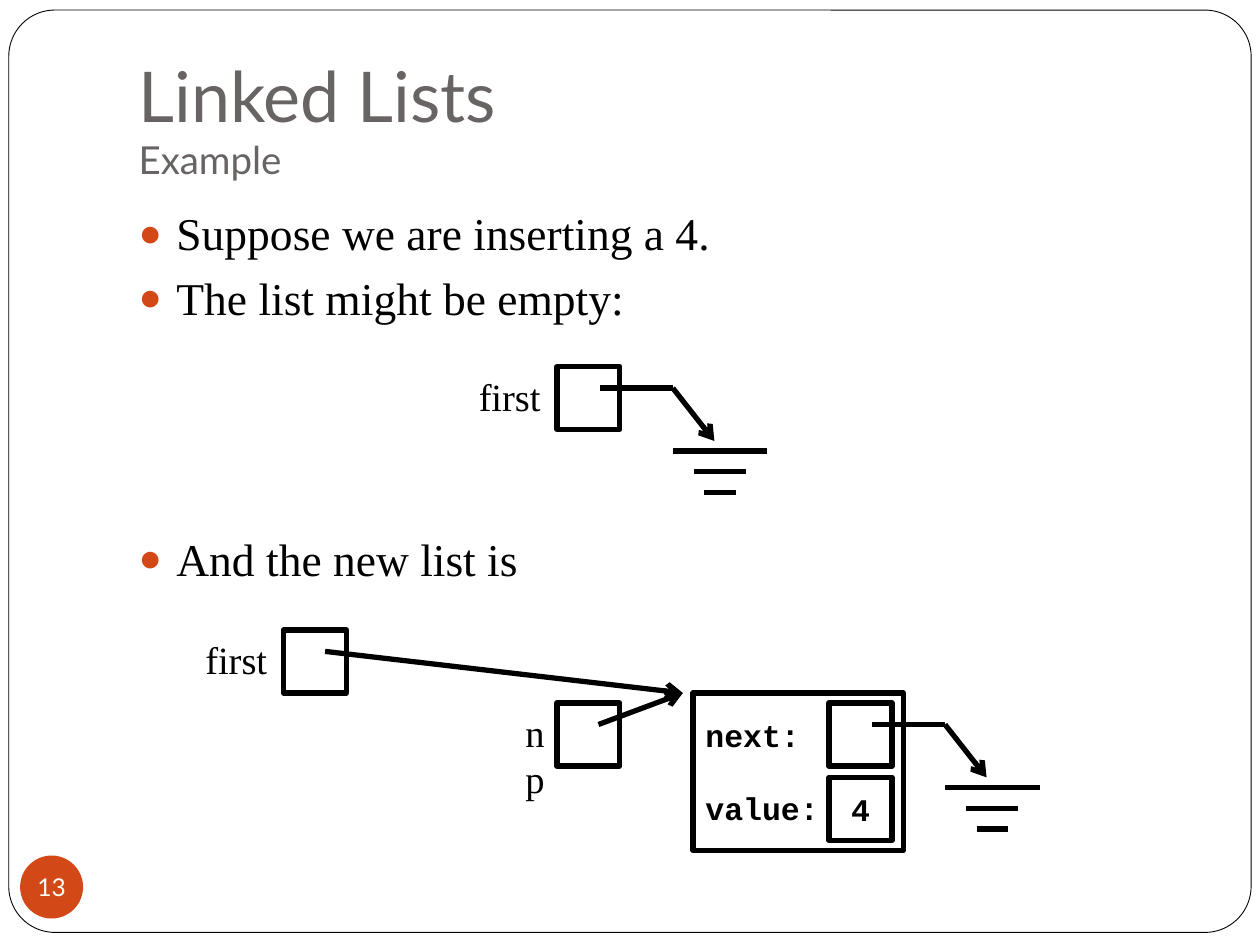
from dataclasses import dataclass

from lxml import etree
from pptx import Presentation, util as u
from pptx.dml.color import RGBColor
from pptx.enum import shapes, text
from pptx.oxml import ns


@dataclass(frozen=True)
class Theme:
    ink = RGBColor.from_string("000000")
    paper = RGBColor.from_string("FFFFFF")
    title = RGBColor.from_string("696464")
    accent = RGBColor.from_string("D34817")
    heading_font = "Lato"
    body_font = "Times New Roman"
    code_font = "Courier New"
    title_size = 40
    subtitle_size = 22
    body_size = 26
    label_size = 22
    code_size = 18
    number_size = 14
    stroke = 3


THEME = Theme()
SHAPE = shapes.MSO_SHAPE
ALIGN = text.PP_ALIGN
ANCHOR = text.MSO_ANCHOR
CELL = 0.5


def inches(*lengths):
    return [u.Inches(length) for length in lengths]


def add_child(parent, tag, **attributes):
    return etree.SubElement(parent, ns.qn(tag), attributes)


def style_runs(para, name, size, color, bold=False):
    for span in para.runs:
        span.font.name, span.font.size = name, u.Pt(size)
        span.font.color.rgb, span.font.bold = color, bold


def add_outline(page, kind, box, fill=None, line=THEME.ink, width=THEME.stroke):
    shape = page.shapes.add_shape(kind, *inches(*box))
    shape.shadow.inherit = False
    if fill is None:
        shape.fill.background()
    else:
        shape.fill.solid()
        shape.fill.fore_color.rgb = fill
    if line is None:
        shape.line.fill.background()
    else:
        shape.line.color.rgb, shape.line.width = line, u.Pt(width)
    return shape


def add_line(page, start, end, arrow=False):
    line = page.shapes.add_connector(
        shapes.MSO_CONNECTOR.STRAIGHT, *inches(*start, *end))
    line.line.color.rgb, line.line.width = THEME.ink, u.Pt(THEME.stroke)
    if arrow:
        add_child(line.line._get_or_add_ln(), "a:tailEnd", type="arrow")
    add_child(line._element.spPr, "a:effectLst")


def add_label(page, words, box, align):
    label = page.shapes.add_textbox(*inches(*box))
    frame = label.text_frame
    frame.word_wrap = True
    frame.text = words
    para = frame.paragraphs[0]
    para.alignment = align
    style_runs(para, THEME.body_font, THEME.label_size, THEME.ink)


def add_code(shape, words, align):
    frame = shape.text_frame
    frame.text = words
    frame.vertical_anchor = ANCHOR.MIDDLE
    for para in frame.paragraphs:
        para.alignment = align
        style_runs(para, THEME.code_font, THEME.code_size, THEME.ink, True)
    return frame


def add_cell(page, left, top):
    return add_outline(page, SHAPE.RECTANGLE, (left, top, CELL, CELL))


def add_named_cell(page, words, left, top, label_width, align=ALIGN.CENTER):
    add_cell(page, left, top)
    add_label(page, words, (left - label_width, top, label_width, 0.47), align)


def add_null_pointer(page, left, top):
    """Bent arrow from a cell to a ground symbol."""
    bend = (left + 0.92, top + 0.17)
    add_line(page, (left + 0.34, top + 0.17), bend)
    add_line(page, bend, (left + 1.25, top + 0.59), arrow=True)
    for row, width in enumerate((0.75, 0.41, 0.25)):
        height = top + 0.67 + row * 0.165
        middle = left + 1.295
        add_line(page, (middle - width / 2, height), (middle + width / 2, height))


def add_frame(page, box):
    frame = add_outline(page, SHAPE.ROUNDED_RECTANGLE, box, THEME.paper, width=0.5)
    frame.adjustments[0] = 0.05
    page.shapes._spTree.insert(2, frame._element)  # behind the placeholders


def add_title(page, box):
    title = page.shapes.title
    title.left, title.top, title.width, title.height = inches(*box)
    frame = title.text_frame
    frame.text = "Linked Lists\vExample"
    frame.auto_size = text.MSO_AUTO_SIZE.NONE
    frame.vertical_anchor = ANCHOR.BOTTOM
    frame.margin_bottom = u.Inches(0.1)
    para = frame.paragraphs[0]
    para.alignment = ALIGN.LEFT
    style_runs(para, THEME.heading_font, THEME.title_size, THEME.title)
    para.runs[1].font.size = u.Pt(THEME.subtitle_size)


def add_bullets(page, box):
    body = page.placeholders[1]
    body.left, body.top, body.width, body.height = inches(*box)
    frame = body.text_frame
    items = (("Suppose we are inserting a 4.", 0),
             ("The list might be empty:", 5.8),
             ("And the new list is", 118))  # leaves room for the first diagram
    frame.text = "\n".join(words for words, _ in items)
    frame.auto_size = text.MSO_AUTO_SIZE.NONE
    for para, (_, gap) in zip(frame.paragraphs, items):
        para.space_before = u.Pt(gap)
        props = para._p.get_or_add_pPr()
        props.set("marL", str(u.Inches(0.3)))
        props.set("indent", str(u.Inches(-0.3)))
        color = add_child(props, "a:buClr")
        add_child(color, "a:srgbClr", val=str(THEME.accent))
        add_child(props, "a:buSzPct", val="85000")
        add_child(props, "a:buChar", char="●")
        style_runs(para, THEME.body_font, THEME.body_size, THEME.ink)


def add_page_number(page, box):
    badge = add_outline(page, SHAPE.OVAL, box, THEME.accent, None)
    frame = badge.text_frame
    frame.margin_left = frame.margin_right = frame.margin_top = frame.margin_bottom = 0
    frame.word_wrap = False
    frame.vertical_anchor = ANCHOR.MIDDLE
    frame.text = "13"
    para = frame.paragraphs[0]
    para.alignment = ALIGN.CENTER
    style_runs(para, THEME.heading_font, THEME.number_size, THEME.paper)


def add_empty_list(page, left, top):
    add_named_cell(page, "first", left + 0.75, top, 0.75)
    add_null_pointer(page, left + 0.75, top)


def add_new_list(page, left, top):
    # Pointer variables
    add_named_cell(page, "first", left + 0.75, top, 0.75)
    add_named_cell(page, "np", left + 2.92, top + 0.58, 0.5, ALIGN.RIGHT)

    # Node with its two fields
    node = add_outline(page, SHAPE.RECTANGLE, (left + 4, top + 0.5, 1.67, 1.25))
    fields = add_code(node, "next:\nvalue:", ALIGN.LEFT)
    fields.paragraphs[1].space_before = u.Pt(20)
    field_left, next_top = left + 5.08, top + 0.58
    add_cell(page, field_left, next_top)
    add_code(add_cell(page, field_left, top + 1.17), "4", ALIGN.CENTER)

    # Arrows
    add_null_pointer(page, field_left, next_top)
    target = (left + 3.92, top + 0.5)
    for start in ((left + 1.08, top + 0.17), (left + 3.25, top + 0.75)):
        add_line(page, start, target, arrow=True)


def main():
    deck = Presentation()
    deck.slide_width, deck.slide_height = inches(10, 7.5)
    page = deck.slides.add_slide(deck.slide_layouts[1])
    add_frame(page, (0.07, 0.08, 9.86, 7.32))
    add_title(page, (1, 0.3, 8.5, 1.25))
    add_page_number(page, (0.16, 6.79, 0.5, 0.5))
    add_bullets(page, (1, 1.58, 8.5, 5.17))
    add_empty_list(page, 3.67, 2.91)
    add_new_list(page, 1.5, 5)
    deck.save("out.pptx")


if __name__ == "__main__":
    main()
